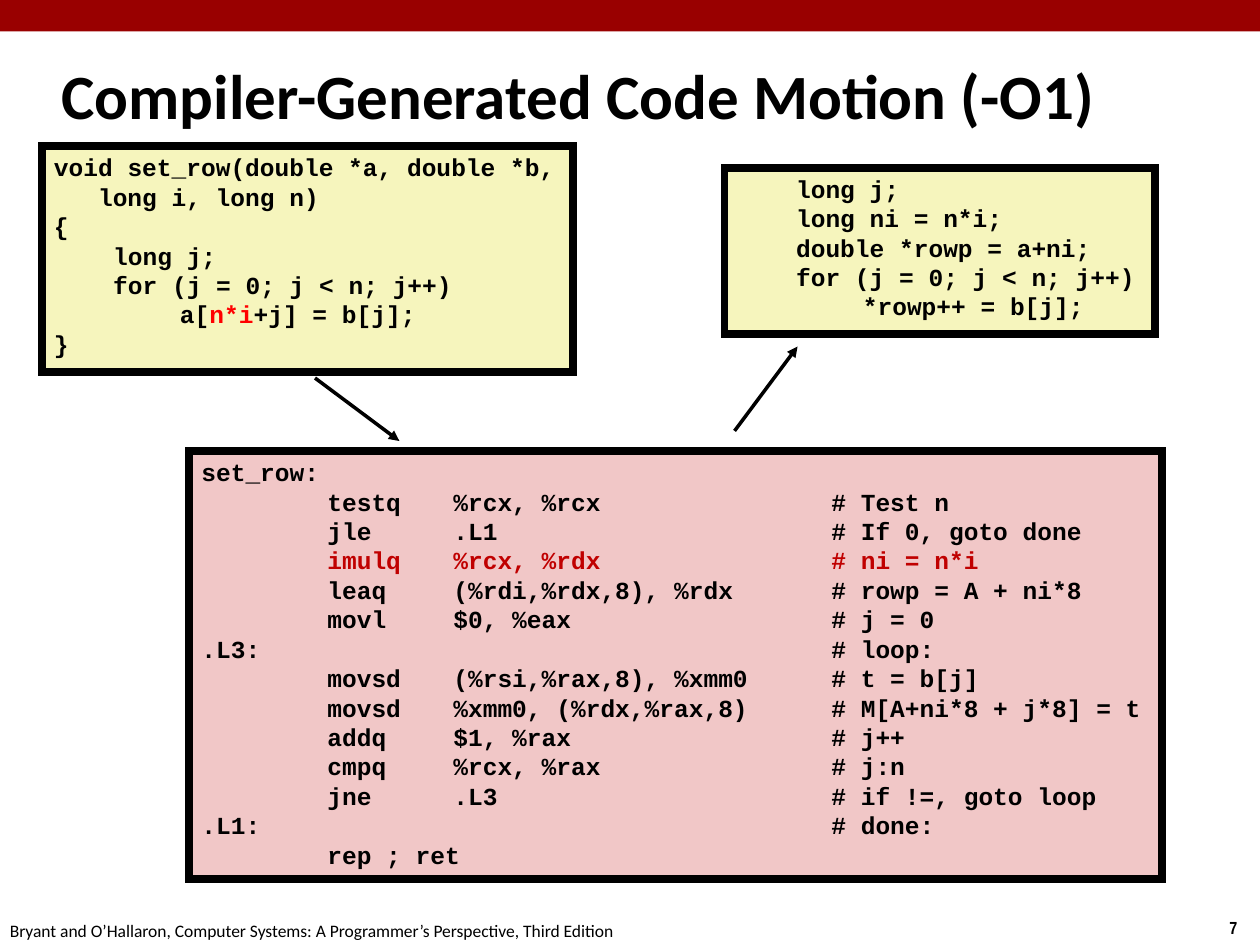
import pptx
import pptx.dml.color
import pptx.enum.shapes
import pptx.enum.text
import pptx.oxml.ns
import pptx.util
from lxml import etree

Inches = pptx.util.Inches
Pt = pptx.util.Pt
RGBColor = pptx.dml.color.RGBColor
ANCHOR = pptx.enum.text.MSO_ANCHOR
qn = pptx.oxml.ns.qn

BLACK = RGBColor(0x00, 0x00, 0x00)
BANNER_RED = RGBColor(0x99, 0x00, 0x00)
C_FILL = RGBColor(0xF6, 0xF5, 0xBD)
ASSEMBLY_FILL = RGBColor(0xF1, 0xC7, 0xC7)
C_HIGHLIGHT = RGBColor(0xFF, 0x00, 0x00)
ASSEMBLY_HIGHLIGHT = RGBColor(0xC0, 0x00, 0x00)

BODY_INDENT = 0.47
LOOP_INDENT = 1
TAB_SIZE = 1

# Each C line is an indent in inches and its text; | encloses highlighted text.
SOURCE_CODE = [
    (0, "void set_row(double *a, double *b,"),
    (0.35, "long i, long n)"),
    (0, "{"),
    (BODY_INDENT, "long j;"),
    (BODY_INDENT, "for (j = 0; j < n; j++)"),
    (LOOP_INDENT, "a[|n*i|+j] = b[j];"),
    (0, "}"),
]
OPTIMIZED_CODE = [
    (BODY_INDENT, "long j;"),
    (BODY_INDENT, "long ni = n*i;"),
    (BODY_INDENT, "double *rowp = a+ni;"),
    (BODY_INDENT, "for (j = 0; j < n; j++)"),
    (LOOP_INDENT, "*rowp++ = b[j];"),
]
ASSEMBLY_CODE = [(0, line) for line in (
    "set_row:",
    "\ttestq\t%rcx, %rcx\t\t# Test n",
    "\tjle\t.L1\t\t\t# If 0, goto done",
    "\t|imulq\t%rcx, %rdx\t\t# ni = n*i|",
    "\tleaq\t(%rdi,%rdx,8), %rdx\t# rowp = A + ni*8",
    "\tmovl\t$0, %eax\t\t\t# j = 0",
    ".L3:\t\t\t\t\t# loop:",
    "\tmovsd\t(%rsi,%rax,8), %xmm0\t# t = b[j]",
    "\tmovsd\t%xmm0, (%rdx,%rax,8)\t# M[A+ni*8 + j*8] = t",
    "\taddq\t$1, %rax\t\t\t# j++",
    "\tcmpq\t%rcx, %rax\t\t# j:n",
    "\tjne\t.L3\t\t\t# if !=, goto loop",
    ".L1:\t\t\t\t\t# done:",
    "\trep ; ret",
)]


def set_font(font, name, size, bold):
    """Set the face, size and weight of black text."""
    font.name = name
    font.size = Pt(size)
    font.bold = bold
    font.color.rgb = BLACK


def add_rectangle(slide, box, fill):
    """Add a flat rectangle without an outline."""
    shape = slide.shapes.add_shape(
        pptx.enum.shapes.MSO_SHAPE.RECTANGLE, *map(Inches, box))
    shape.shadow.inherit = False
    shape.fill.solid()
    shape.fill.fore_color.rgb = fill
    shape.line.fill.background()
    return shape


def add_label(slide, box, text, name, size, bold=False, anchor=ANCHOR.TOP):
    """Add one line of text in a box."""
    frame = slide.shapes.add_textbox(*map(Inches, box)).text_frame
    frame.word_wrap = True
    frame.vertical_anchor = anchor
    paragraph = frame.paragraphs[0]
    paragraph.text = text
    set_font(paragraph.font, name, size, bold)


def set_indents(paragraph, indent):
    """Set the left margin and the tab size of a paragraph."""
    properties = paragraph._p.get_or_add_pPr()
    properties.set("marL", str(Inches(indent)))
    properties.set("indent", "0")
    properties.set("defTabSz", str(Inches(TAB_SIZE)))


def add_code_box(slide, box, lines, fill, highlight=C_HIGHLIGHT):
    """Add a framed listing with indents, tabs and highlighted parts."""
    shape = add_rectangle(slide, box, fill)
    shape.line.color.rgb = BLACK
    shape.line.width = Pt(4.5)
    etree.SubElement(shape.line._get_or_add_ln(), qn("a:miter"), lim="800000")
    frame = shape.text_frame
    frame.word_wrap = True
    frame.vertical_anchor = ANCHOR.TOP
    for number, (indent, line) in enumerate(lines):
        paragraph = frame.add_paragraph() if number else frame.paragraphs[0]
        paragraph.alignment = pptx.enum.text.PP_ALIGN.LEFT
        set_indents(paragraph, indent)
        set_font(paragraph.font, "Courier New", 14, True)
        for part, text in enumerate(line.split("|")):
            if text:
                run = paragraph.add_run()
                run.text = text
                if part % 2:
                    run.font.color.rgb = highlight


def add_arrow(slide, start, end):
    """Add a straight arrow from start to end."""
    arrow = slide.shapes.add_connector(
        pptx.enum.shapes.MSO_CONNECTOR.STRAIGHT, *map(Inches, start + end))
    arrow.line.color.rgb = BLACK
    arrow.line.width = Pt(2)
    etree.SubElement(arrow.line._get_or_add_ln(), qn("a:tailEnd"), type="triangle")
    etree.SubElement(arrow._element.spPr, qn("a:effectLst"))


def add_page_frame(slide, width, height):
    """Add the banner, the footer and the page number."""
    add_rectangle(slide, (0, 0, width, 0.25), BANNER_RED)
    add_label(slide, (width - 0.34, height - 0.27, 0.34, 0.27), "7",
              "Arial Narrow", 10, bold=True)
    add_label(slide, (-0.02, height - 0.25, 5.08, 0.27),
              "Bryant and O’Hallaron, Computer Systems: "
              "A Programmer’s Perspective, Third Edition", "Calibri", 10)


def main():
    """Build the slide and save it."""
    width, height = 10, 7.5
    presentation = pptx.Presentation()
    presentation.slide_width = Inches(width)
    presentation.slide_height = Inches(height)
    slide = presentation.slides.add_slide(presentation.slide_layouts[6])
    add_page_frame(slide, width, height)
    add_label(slide, (0.39, 0.33, 8.83, 0.83), "Compiler-Generated Code Motion (-O1)",
              "Calibri", 36, bold=True, anchor=ANCHOR.MIDDLE)
    add_code_box(slide, (1.5, 3.58, 7.72, 3.4), ASSEMBLY_CODE, ASSEMBLY_FILL,
                 ASSEMBLY_HIGHLIGHT)
    add_arrow(slide, (2.5, 3), (3.17, 3.5))
    add_arrow(slide, (5.83, 3.42), (6.33, 2.75))
    add_code_box(slide, (5.75, 1.33, 3.42, 1.32), OPTIMIZED_CODE, C_FILL)
    add_code_box(slide, (0.33, 1.16, 4.22, 1.79), SOURCE_CODE, C_FILL)
    presentation.save("out.pptx")


main()
